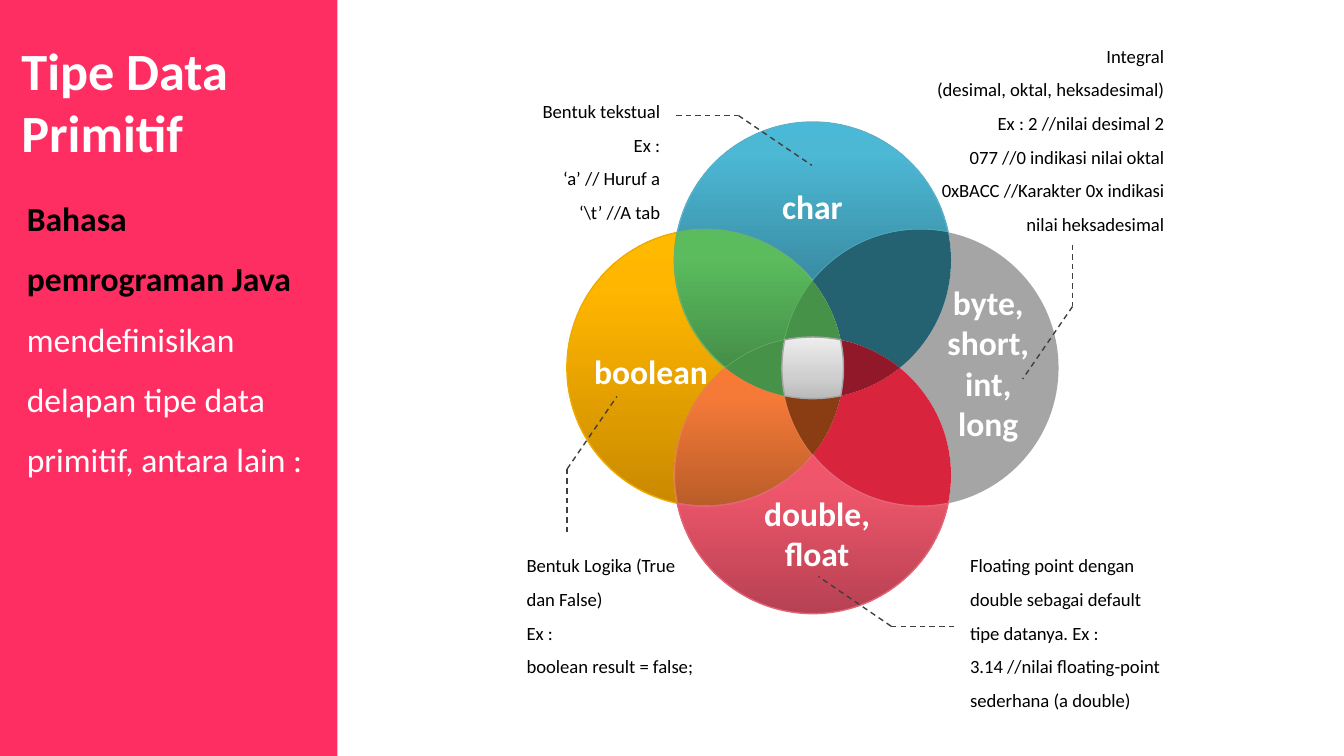
from copy import deepcopy
from dataclasses import dataclass
from itertools import pairwise
from math import atan2, cos, pi, remainder, sin, sqrt, tan, tau

from lxml.etree import SubElement
from pptx import Presentation
from pptx.dml.color import RGBColor
from pptx.enum.dml import MSO_LINE
from pptx.enum.shapes import MSO_CONNECTOR, MSO_SHAPE
from pptx.enum.text import MSO_ANCHOR, MSO_AUTO_SIZE, PP_ALIGN as Align
from pptx.oxml.ns import qn
from pptx.util import Pt

FONT = "Calibri"
COLORS = {
    "sidebar": "FF0040", "white": "FFFFFF", "black": "000000", "leader": "3F3F3F",
    "gray": "A5A5A5", "red": "D8243D", "brown": "8A3C12", "teal": "246171",
    "maroon": "901829", "green": "479249", "yellow_edge": "EFAB00", "orange_edge": "E5804B",
    "blue_edge": "5AB1C9", "lime_edge": "66B368", "pink_edge": "E26677",
}
GRADIENTS = {
    "yellow": ((0, "CA8A00"), (0.8, "FFB600"), (1, "FFBA00")),
    "orange": ((0, "BA5D2A"), (0.8, "F57A38"), (1, "FA7A34")),
    "blue": ((0, "398BA2"), (0.8, "4CB8D4"), (1, "4AB9D8")),
    "lime": ((0, "458E48"), (0.8, "5BBC5E"), (1, "5BBD5C")),
    "silver": ((0, "BABABA"), (0.35, "CFCFCF"), (1, "EDEDED")),
    "pink": ((0, "B64152"), (0.8, "EF566B"), (1, "F35469")),
}

Box = tuple[float, float, float, float]
Point = tuple[float, float]
CX, CY, RADIUS, OFFSET = 435.4, 197.1, 74.1, 57.6
CENTERS = {"t": (0, -OFFSET), "r": (OFFSET, 0), "b": (0, OFFSET), "l": (-OFFSET, 0)}
MID = sqrt(RADIUS**2 - OFFSET**2)
DIAG = sqrt(2 * RADIUS**2 - OFFSET**2)
FAR, NEAR = (DIAG + OFFSET) / 2, (DIAG - OFFSET) / 2
CORNERS = {
    "TL": (-FAR, -FAR), "TR": (FAR, -FAR), "BL": (-FAR, FAR), "BR": (FAR, FAR),
    "N": (0, -MID), "S": (0, MID), "W": (-MID, 0), "E": (MID, 0),
    "nw": (-NEAR, -NEAR), "ne": (NEAR, -NEAR), "sw": (-NEAR, NEAR), "se": (NEAR, NEAR),
}


@dataclass
class Region:
    outline: str
    fill: str
    edge: str = ""


@dataclass
class Label:
    text: str
    box: Box


@dataclass
class Note:
    text: str
    box: Box
    align: Align
    leader: tuple[Point, ...]


REGIONS = [
    Region("TR r BR b E t", "gray"),
    Region("E t se l S r BR b", "red"),
    Region("TL l BL b W t", "yellow", "yellow_edge"),
    Region("S r sw t W b BL l", "orange", "orange_edge"),
    Region("sw r S l se t", "brown"),
    Region("TR t TL l N r", "blue", "blue_edge"),
    Region("N l ne b E t TR r", "teal"),
    Region("ne b E t se l", "maroon"),
    Region("W b nw r N l TL t", "lime", "lime_edge"),
    Region("nw b W t sw r", "green"),
    Region("ne l N r nw b", "green"),
    Region("ne b nw r sw t se l", "silver", "gray"),
    Region("BR b BL l S r", "pink", "pink_edge"),
]
LABELS = [
    Label("char", (400.3, 95.8, 69.8, 14.4)),
    Label("double, float", (400.3, 260.6, 74.9, 11.5)),
    Label("boolean", (306.7, 184.3, 84.2, 9.4)),
    Label("byte, short, int, long", (494.6, 147.6, 69.8, 14.4)),
]
NOTES = [
    Note("Bentuk Logika (True dan False)\nEx :\nboolean result = false;",
         (275, 287.3, 109.4, 52.6), Align.LEFT,
         ((303.8, 285.1), (303.8, 251.3), (330.5, 212.4))),
    Note("Floating point dengan double sebagai default tipe datanya. Ex :\n"
         "3.14 //nilai floating-point sederhana (a double)",
         (512.6, 287.3, 118.1, 36.7), Align.LEFT,
         ((511.2, 335.5), (477.4, 335.5), (438.5, 308.9))),
    Note("Integral\n(desimal, oktal, heksadesimal)\nEx : 2 //nilai desimal 2\n"
         "077 //0 indikasi nilai oktal\n0xBACC //Karakter 0x indikasi nilai heksadesimal",
         (480.2, 14.4, 150.5, 82.1), Align.RIGHT,
         ((574.6, 131), (574.6, 164.2), (547.9, 203))),
    Note("Bentuk tekstual\nEx :\n‘a’ // Huruf a\n" r"‘\t’ //A tab",
         (260.6, 43.9, 100.1, 61.2), Align.RIGHT,
         ((362.2, 61.9), (395.6, 61.9), (434.9, 88.6))),
]


def rgb(name: str) -> RGBColor:
    return RGBColor.from_string(COLORS[name])


def setup_frame(tf, inset: float) -> None:
    tf.word_wrap = True
    tf.auto_size = MSO_AUTO_SIZE.NONE
    tf.vertical_anchor = MSO_ANCHOR.TOP
    tf.margin_left = tf.margin_right = Pt(7.2)
    tf.margin_top = tf.margin_bottom = Pt(inset)


def style_text(tf, size: float, color: str, bold: bool, align: Align, spacing: float = 1.0) -> None:
    for p in tf.paragraphs:
        p.alignment, p.line_spacing, p.space_before = align, spacing, Pt(0)
        for r in p.runs:
            r.font.name, r.font.size, r.font.bold = FONT, Pt(size), bold
            r.font.color.rgb = rgb(color)


def add_text(shapes, text: str, box: Box, *style) -> None:
    tf = shapes.add_textbox(*map(Pt, box)).text_frame
    setup_frame(tf, 3.6)
    tf.text = text
    style_text(tf, *style)


def arc(start: str, circle: str, end: str) -> list[tuple[Point, Point, Point]]:
    cx, cy = CENTERS[circle]
    a0, a1 = (atan2(y - cy, x - cx) for x, y in (CORNERS[start], CORNERS[end]))
    a1 = a0 + remainder(a1 - a0, tau)
    quarters = [k * pi / 2 for k in range(-4, 5) if min(a0, a1) < k * pi / 2 < max(a0, a1)]
    curves = []
    for u, v in pairwise(sorted([a0, *quarters, a1], reverse=a1 < a0)):
        k = 4 / 3 * tan((v - u) / 4)
        units = ((cos(u) - k * sin(u), sin(u) + k * cos(u)),
                 (cos(v) + k * sin(v), sin(v) - k * cos(v)), (cos(v), sin(v)))
        curves.append(tuple((Pt(CX + cx + RADIUS * x), Pt(CY + cy + RADIUS * y)) for x, y in units))
    return curves


def gradient_fill(sp, stops) -> None:
    sp.fill.gradient()
    sp.fill.gradient_angle = 90
    gs_list = sp._element.spPr.find(qn("a:gradFill")).find(qn("a:gsLst"))
    gs_list.append(deepcopy(gs_list[-1]))
    for stop, (position, color) in zip(sp.fill.gradient_stops, stops):
        stop.position = position
        stop.color.rgb = RGBColor.from_string(color)


def add_region(shapes, region: Region) -> None:
    names = region.outline.split()
    corners, circles = names[::2], names[1::2]
    curves = []
    for start, circle, end in zip(corners, circles, corners[1:] + corners[:1]):
        curves += arc(start, circle, end)
    ends = [curve[-1] for curve in curves]
    builder = shapes.build_freeform(*ends[-1])
    builder.add_line_segments(ends, close=True)
    sp = builder.convert_to_shape()
    lines = list(sp._element.iter(qn("a:lnTo")))
    for line, curve in zip(lines, curves):
        outline = line.getparent()
        bezier = SubElement(outline, qn("a:cubicBezTo"))
        for x, y in curve:
            SubElement(bezier, qn("a:pt"), x=str(x - sp.left), y=str(y - sp.top))
        outline.replace(line, bezier)
    sp.shadow.inherit = False
    if region.fill in GRADIENTS:
        gradient_fill(sp, GRADIENTS[region.fill])
    else:
        sp.fill.solid()
        sp.fill.fore_color.rgb = rgb(region.fill)
    if region.edge:
        sp.line.color.rgb, sp.line.width = rgb(region.edge), Pt(0.75)
    else:
        sp.line.fill.background()


def add_leader(shapes, points: tuple[Point, ...]) -> None:
    for start, end in pairwise(points):
        line = shapes.add_connector(MSO_CONNECTOR.STRAIGHT, *map(Pt, start + end))
        line.line.color.rgb, line.line.width = rgb("leader"), Pt(0.75)
        line.line.dash_style = MSO_LINE.DASH
        SubElement(line._element.spPr, qn("a:effectLst"))


def add_sidebar(shapes) -> None:
    sp = shapes.add_shape(MSO_SHAPE.RECTANGLE, 0, 0, Pt(180.7), Pt(405))
    sp.shadow.inherit = False
    sp.fill.solid()
    sp.fill.fore_color.rgb = rgb("sidebar")
    SubElement(sp._element.spPr.find(qn("a:solidFill"))[0], qn("a:alpha"), val="82000")
    sp.line.fill.background()
    shapes._spTree.insert(2, sp._element)


def fill_placeholder(sp, box: Box, texts: list[str], *style) -> None:
    sp.left, sp.top, sp.width, sp.height = map(Pt, box)
    tf = sp.text_frame
    setup_frame(tf, 7.2)
    tf.text = texts[0]
    for text in texts[1:]:
        tf.paragraphs[0].add_run().text = text
    style_text(tf, *style)


def main() -> None:
    prs = Presentation()
    prs.slide_width, prs.slide_height = Pt(720), Pt(405)
    s = prs.slides.add_slide(prs.slide_layouts[1])
    add_sidebar(s.shapes)
    fill_placeholder(s.shapes.title, (4.3, 13, 223.2, 105.1), ["Tipe Data\vPrimitif"],
                     28, "white", True, Align.LEFT)
    body = s.placeholders[1]
    fill_placeholder(body, (7.2, 87.8, 169.9, 149), [
        "Bahasa pemrograman Java ", "mendefinisikan delapan tipe data primitif, antara lain :",
    ], 18, "white", False, Align.LEFT, 1.5)
    p = body.text_frame.paragraphs[0]
    p.runs[0].font.bold, p.runs[0].font.color.rgb = True, rgb("black")
    pPr = p._p.get_or_add_pPr()
    pPr.set("marL", "0")
    pPr.set("indent", "0")
    SubElement(pPr, qn("a:buNone"))
    for region in REGIONS:
        add_region(s.shapes, region)
    for label in LABELS:
        add_text(s.shapes, label.text, label.box, 18, "white", True, Align.CENTER)
    for note in NOTES:
        add_text(s.shapes, note.text, note.box, 10, "black", False, note.align, 1.5)
        add_leader(s.shapes, note.leader)
    prs.save("out.pptx")


if __name__ == "__main__":
    main()
